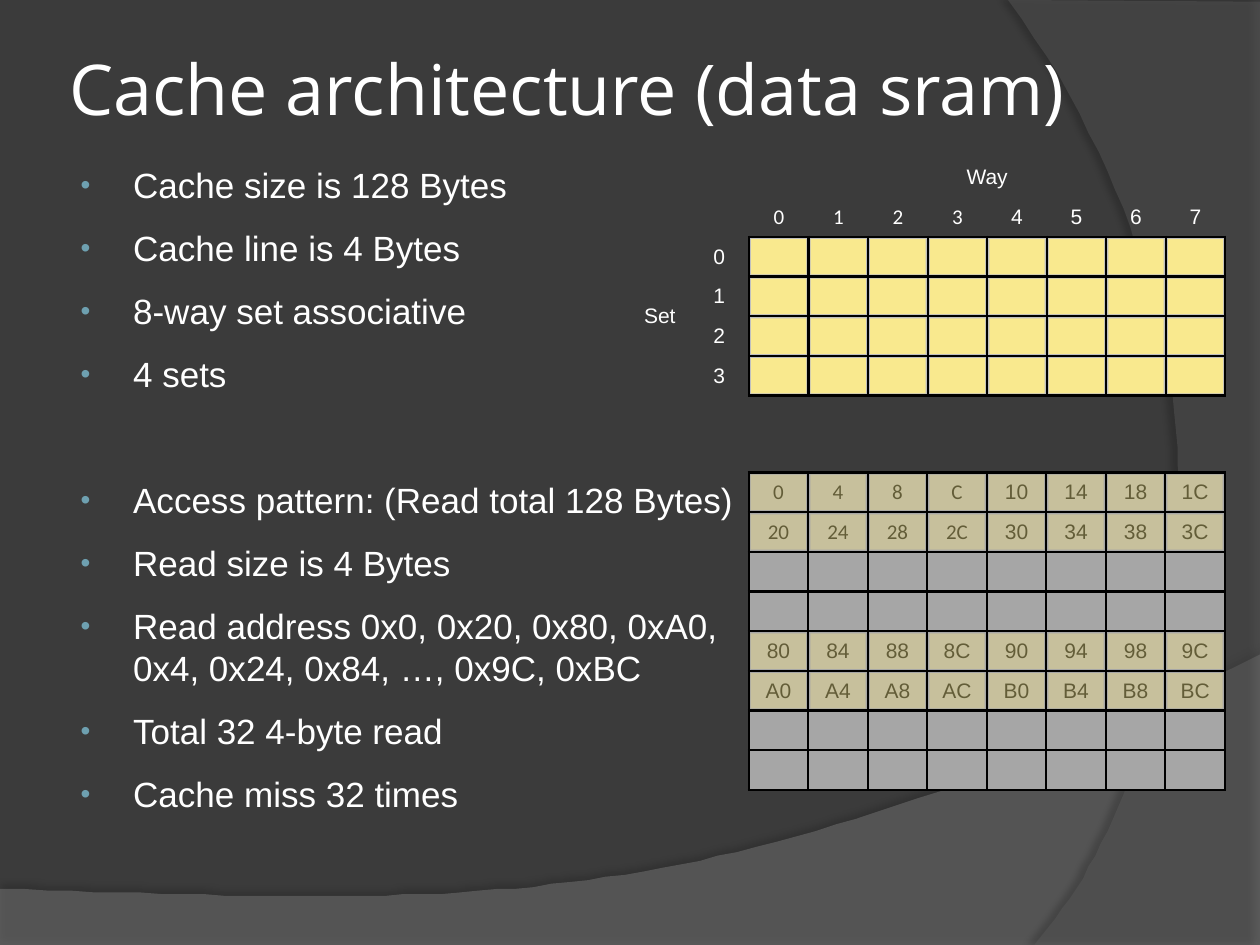
from itertools import product

from lxml import etree
from pptx import Presentation
from pptx import util as u
from pptx.dml import color
from pptx.enum import shapes, text
from pptx.oxml import ns

PITCH_X, PITCH_Y = 34.02, 22.68
INSET = 1.2
WAYS, SETS = 8, 4
WHITE, BLACK, YELLOW = "FFFFFF", "000000", "F9E98E"
NO_STYLE = "{2D5ABB26-0587-4C30-8999-92F81FD0307C}"
BULLETS = [
    "Cache size is 128 Bytes",
    "Cache line is 4 Bytes",
    "8-way set associative",
    "4 sets",
    "Access pattern: (Read total 128 Bytes)",
    "Read size is 4 Bytes",
    "Read address 0x0, 0x20, 0x80, 0xA0, 0x4, 0x24, 0x84, …, 0x9C, 0xBC",
    "Total 32 4-byte read",
    "Cache miss 32 times",
]
SECOND_GROUP = 4


def rgb(value):
    return color.RGBColor.from_string(value)


def set_all(target, values):
    for name, value in values.items():
        setattr(target, name, value)


def add_node(parent, tag, **attributes):
    node = etree.SubElement(parent, ns.qn(tag))
    for name, value in attributes.items():
        node.set(name, str(value))
    return node


def add_color(parent, value, alpha=100):
    node = add_node(parent, "a:srgbClr", val=value)
    if alpha < 100:
        add_node(node, "a:alpha", val=alpha * 1000)


def paint(shape, value, alpha=100):
    shape.shadow.inherit = False
    shape.fill.solid()
    shape.fill.fore_color.rgb = rgb(value)
    shape.line.fill.background()
    if alpha < 100:
        fill = shape._element.spPr.find(ns.qn("a:solidFill"))
        add_node(fill[0], "a:alpha", val=alpha * 1000)


def write(paragraph, words, font, size, value):
    run = paragraph.add_run()
    run.text = words
    set_all(run.font, {"name": font, "size": u.Pt(size)})
    run.font.color.rgb = rgb(value)


def curve(start, first, second, end, steps=60):
    for step in range(steps + 1):
        t = step / steps
        weights = ((1 - t) ** 3, 3 * t * (1 - t) ** 2, 3 * t * t * (1 - t), t ** 3)
        yield tuple(sum(w * point[axis] for w, point in zip(weights, (start, first, second, end)))
                    for axis in (0, 1))


def add_swoosh(slide, points, fill, alpha, shadow):
    builder = slide.shapes.build_freeform(*points[0], scale=float(u.Pt(1)))
    builder.add_line_segments(points[1:], close=True)
    shape = builder.convert_to_shape()
    paint(shape, fill, alpha)
    opacity, blur, distance, angle = shadow
    effects = shape._element.spPr.find(ns.qn("a:effectLst"))
    outer = add_node(effects, "a:outerShdw", blurRad=int(u.Pt(blur)), dist=int(u.Pt(distance)),
                     dir=angle * 60000, algn="ctr", rotWithShape=0)
    add_color(outer, BLACK, opacity)


def add_backdrop(slide, width, height):
    slide.background.fill.solid()
    slide.background.fill.fore_color.rgb = rgb("3B3B3B")
    bottom = [(0, height), (width, height),
              *curve((width, 374.4), (402.5, 524.9), (281.5, 517.7), (0, 507.6))]
    side = [(width, 1.4), (width, height),
            *curve((591.1, height), (673.2, 445.7), (733, 216), (576, 0))]
    add_swoosh(slide, bottom, "7F7F7F", 45, (35, 4, 3.5, 270))
    add_swoosh(slide, side, "5E5E5E", 40, (45, 4, 4, 180))


def add_text_frame(slide, box, margins, anchor):
    frame = slide.shapes.add_textbox(*map(u.Pt, box)).text_frame
    set_all(frame, {"word_wrap": True, "vertical_anchor": anchor})
    sides = ("margin_left", "margin_top", "margin_right", "margin_bottom")
    set_all(frame, dict(zip(sides, map(u.Pt, margins))))
    return frame


def add_title(slide, box):
    frame = add_text_frame(slide, box, (3.6,) * 4, text.MSO_ANCHOR.MIDDLE)
    write(frame.paragraphs[0], "Cache architecture (data sram)", "Open Sans", 40, WHITE)


def add_bullets(slide, box):
    frame = add_text_frame(slide, box, (7.2, 3.6, 7.2, 3.6), text.MSO_ANCHOR.TOP)
    for index, words in enumerate(BULLETS):
        paragraph = frame.add_paragraph() if index else frame.paragraphs[0]
        before = 48 if index == SECOND_GROUP else 12
        set_all(paragraph, {"space_before": u.Pt(before), "line_spacing": u.Pt(24)})
        properties = paragraph._p.get_or_add_pPr()
        properties.set("marL", str(u.Pt(33)))
        properties.set("indent", str(u.Pt(-30)))
        add_color(add_node(properties, "a:buClr"), "6EA0B0")
        add_node(properties, "a:buSzPct", val=80000)
        add_node(properties, "a:buFont", typeface="Arial")
        add_node(properties, "a:buChar", char="•")
        write(paragraph, words, "Arial", 20, WHITE)


def add_grid(slide, left, top, rows, columns):
    frame = slide.shapes.add_table(rows, columns, u.Pt(left), u.Pt(top),
                                   u.Pt(columns * PITCH_X), u.Pt(rows * PITCH_Y))
    table = frame.table
    set_all(table, {"first_row": False, "horz_banding": False})
    table._tbl.tblPr.find(ns.qn("a:tableStyleId")).text = NO_STYLE
    for column in table.columns:
        column.width = u.Pt(PITCH_X)
    for row in table.rows:
        row.height = u.Pt(PITCH_Y)
    for cell in table.iter_cells():
        set_all(cell, {"margin_left": u.Pt(2.88), "margin_right": u.Pt(2.88), "margin_top": 0,
                       "margin_bottom": 0, "vertical_anchor": text.MSO_ANCHOR.MIDDLE})
        cell.fill.background()
    return table


def fill_cell(cell, fill):
    properties = cell._tc.get_or_add_tcPr()
    for index, side in enumerate(("a:lnL", "a:lnR", "a:lnT", "a:lnB")):
        line = etree.Element(ns.qn(side), w=str(u.Pt(1.5)))
        add_color(add_node(line, "a:solidFill"), BLACK)
        properties.insert(index, line)
    cell.fill.solid()
    cell.fill.fore_color.rgb = rgb(fill)


def label_cell(cell, words, value, font="Arial"):
    paragraph = cell.text_frame.paragraphs[0]
    paragraph.alignment = text.PP_ALIGN.CENTER
    write(paragraph, words, font, 12, value)


def way_font(way):
    return "Calibri" if way < 4 else "Arial"


def add_blocks(slide, left, top, rows, alpha=100):
    for row, way in product(rows, range(WAYS)):
        box = (left + way * PITCH_X + INSET, top + row * PITCH_Y + INSET,
               PITCH_X - 2 * INSET, PITCH_Y - 2 * INSET)
        block = slide.shapes.add_shape(shapes.MSO_SHAPE.RECTANGLE, *map(u.Pt, box))
        paint(block, YELLOW, alpha)


def add_cache(slide, left, top):
    table = add_grid(slide, left, top, SETS + 2, WAYS + 2)
    table.cell(0, 2).merge(table.cell(0, WAYS + 1))
    table.cell(2, 0).merge(table.cell(SETS + 1, 0))
    label_cell(table.cell(0, 2), "Way", WHITE)
    label_cell(table.cell(2, 0), "Set", WHITE)
    for way in range(WAYS):
        label_cell(table.cell(1, way + 2), str(way), WHITE, way_font(way))
    for row in range(SETS):
        label_cell(table.cell(row + 2, 1), str(row), WHITE)
    for row, way in product(range(SETS), range(WAYS)):
        fill_cell(table.cell(row + 2, way + 2), "BFBFBF")
    add_blocks(slide, left + 2 * PITCH_X, top + 2 * PITCH_Y, range(SETS))


def add_memory(slide, left, top):
    read_rows = (0, 1, 4, 5)
    rows = 2 * SETS
    table = add_grid(slide, left, top, rows, WAYS)
    for row, way in product(range(rows), range(WAYS)):
        cell = table.cell(row, way)
        fill_cell(cell, "A6A6A6")
        if row in read_rows:
            address = f"{4 * (row * WAYS + way):X}"
            label_cell(cell, address, BLACK, way_font(way) if row < 2 else "Arial")
    add_blocks(slide, left, top, read_rows, 40)


def main():
    presentation = Presentation()
    set_all(presentation, {"slide_width": u.Pt(720), "slide_height": u.Pt(540)})
    slide = presentation.slides.add_slide(presentation.slide_layouts[6])
    add_backdrop(slide, 720, 540)
    add_title(slide, (36, 21.6, 648, 56.9))
    add_bullets(slide, (36, 90, 393.8, 425.5))
    add_cache(slide, 360, 90)
    add_memory(slide, 427.8, 270)
    presentation.save("out.pptx")


if __name__ == "__main__":
    main()
